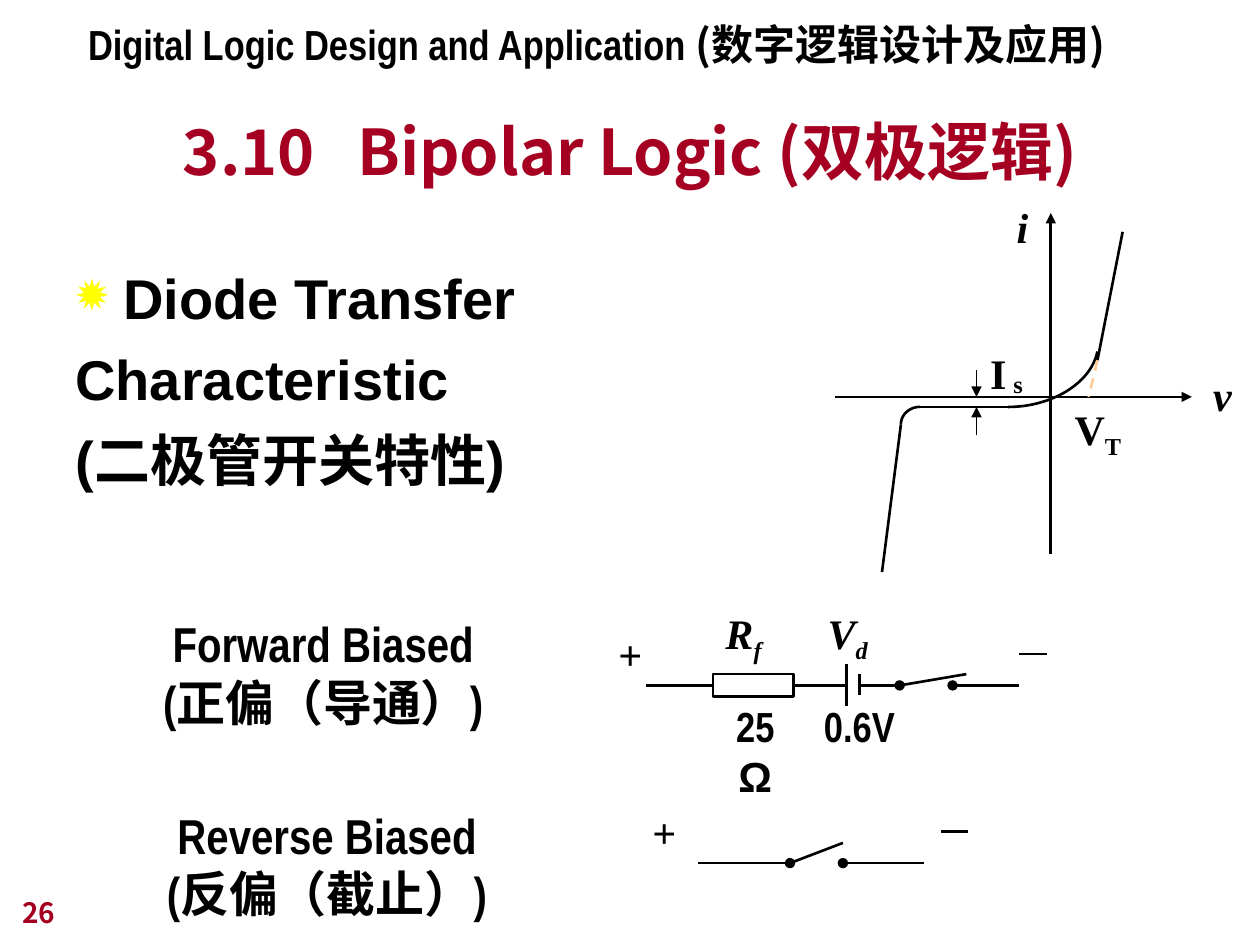
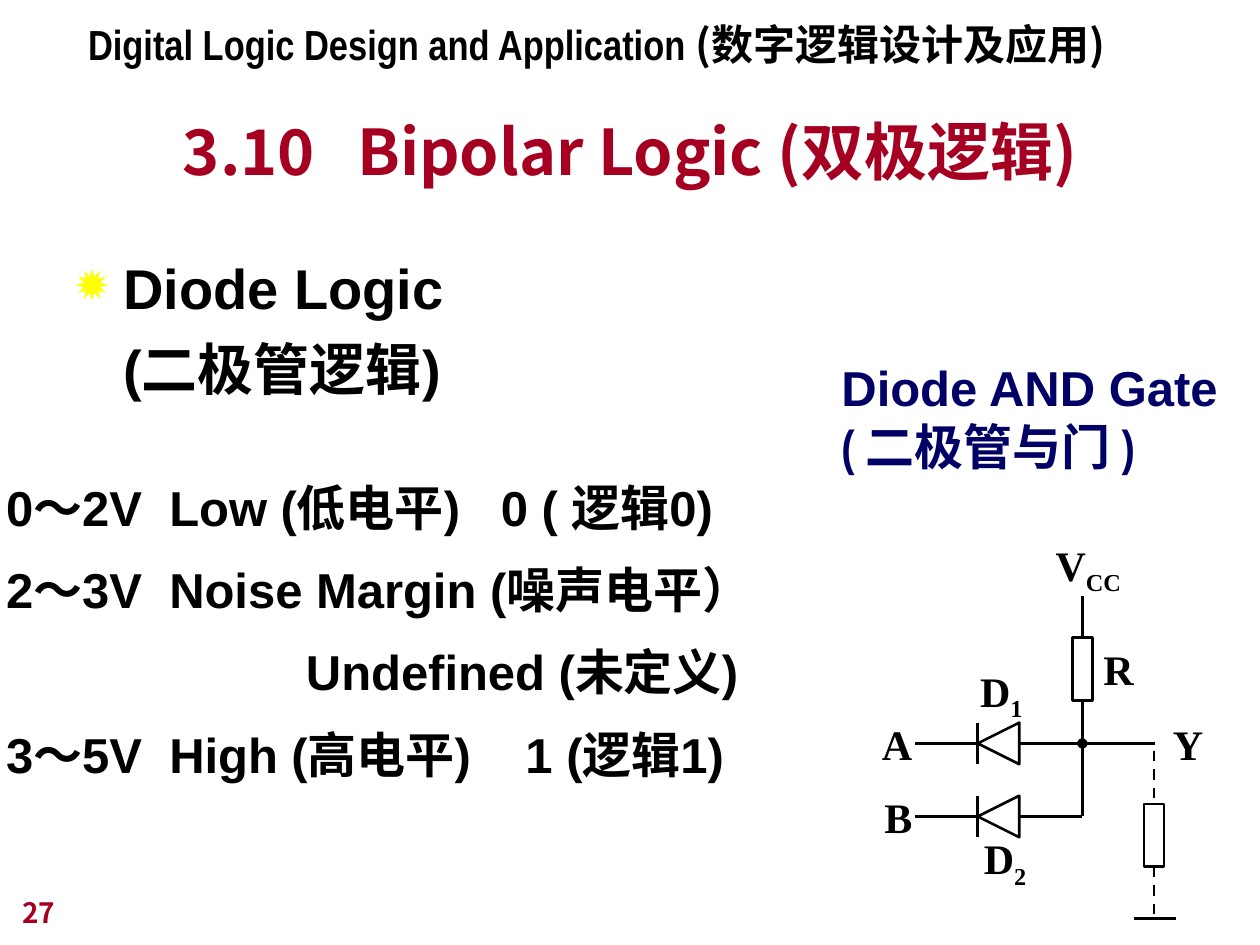
from lxml import etree
from pptx import Presentation
from pptx.dml.color import RGBColor
from pptx.enum.dml import MSO_LINE
from pptx.enum.shapes import MSO_CONNECTOR, MSO_SHAPE
from pptx.enum.text import MSO_ANCHOR, PP_ALIGN
from pptx.oxml.ns import qn
from pptx.util import Inches, Pt

LEFT, MID = PP_ALIGN.LEFT, PP_ALIGN.CENTER
TOP, LOW = MSO_ANCHOR.TOP, MSO_ANCHOR.BOTTOM
RECT, TRI = MSO_SHAPE.RECTANGLE, MSO_SHAPE.ISOSCELES_TRIANGLE
LINE, DASH = MSO_CONNECTOR.STRAIGHT, MSO_LINE.DASH

WIDE, HIGH = Inches(10), Inches(7.5)
COLS = 10
CELL = WIDE / COLS
HUES = {"ink": "000000", "red": "A50021", "navy": "000066",
        "sun": "FFFF00", "sand": "FFCC99"}
SANS, SLIM, SERIF, HAN = "Arial", "Arial Narrow", "Times New Roman", "Noto Sans CJK JP"

HEAD = [("Digital Logic Design and Application ", {}),
        ("(数字逻辑设计及应用)", {"face": HAN})]
TITLE = [("3.10", {}), (" ", {"air": 16}), ("Bipolar Logic (双极逻辑)", {})]
STAR = {"bullet": "✹", "left": 0.38, "first": -0.38}
LEAD = {"lead": 1.4}
SUB = {"base": -25}


def sign(main, sub=""):
    return [(main, {})] + ([(sub, SUB)] if sub else [])


def level(volts, name, air=0, logic=""):
    parts = [(volts, {}), (" ", {"air": 7.8}), (name, {})]
    if logic:
        parts += [(" ", {"air": air}), (logic, {})]
    return parts, LEAD


CURVE = {
    "body": [("Diode Transfer", STAR), ("Characteristic", {}), ("(二极管开关特性)", {})],
    "top": 2.04,
    "page": "26",
    "texts": [
        ((1.1, 4.82, 2.93, 1.04), ["Forward Biased", "(正偏（导通）)"], 28, SLIM, "ink", MID),
        ((1.13, 6.34, 2.93, 1.04), ["Reverse Biased", "(反偏（截止）)"], 28, SLIM, "ink", MID),
        ((5.58, 5.51, 0.83, 0.5), [[("25 ", {}), ("Ω", {"face": SANS})]], 24, SLIM, "ink", MID),
        ((6.44, 5.51, 0.76, 0.5), ["0.6V"], 24, SLIM, "ink", MID),
    ],
    "labels": [
        (9.53, 2.88, 0.35, sign("v"), True),
        (7.97, 1.55, 0.29, sign("i"), True),
        (8.43, 3.15, 0.57, sign("V", "T"), False),
        (7.76, 2.71, 0.46, [("I", {}), (" ", {"size": 16}), ("s", {"base": -10})], False),
        (4.81, 4.94, 0.39, sign("+"), False),
        (5.66, 4.77, 0.6, sign("R", "f"), True),
        (6.47, 4.77, 0.55, sign("V", "d"), True),
        (5.08, 6.35, 0.39, sign("+"), False),
    ],
    "rects": [(5.66, 5.35, 0.64, 0.18)],
    "diodes": [],
    "arcs": [
        [(8, 3.23), (8.35, 3.23), (8.66, 3.04), (8.71, 2.79)],
        [(7.3, 3.23), (7.22, 3.23), (7.15, 3.29), (7.15, 3.37)],
    ],
    "wires": [
        (6.63, 3.15, 9.46, 3.15, {"tail": "triangle"}),
        (8.34, 4.4, 8.34, 1.69, {"tail": "triangle"}),
        (7.3, 3.23, 8, 3.23, {}),
        (8.91, 1.84, 8.71, 2.86, {}),
        (7.15, 3.37, 7, 4.54, {}),
        (8.71, 2.86, 8.64, 3.15, {"hue": "sand", "dash": True}),
        (7.75, 2.94, 7.75, 3.15, {"tail": "triangle", "size": 0.75}),
        (7.75, 3.45, 7.75, 3.23, {"tail": "triangle", "size": 0.75}),
        (6.3, 5.44, 6.72, 5.44, {}),
        (6.72, 5.27, 6.72, 5.6, {}),
        (6.82, 5.35, 6.82, 5.52, {}),
        (6.82, 5.44, 7.14, 5.44, {}),
        (7.14, 5.44, 7.67, 5.35, {"head": "oval"}),
        (7.56, 5.44, 8.09, 5.44, {"head": "oval"}),
        (5.66, 5.44, 5.13, 5.44, {}),
        (8.09, 5.19, 8.31, 5.19, {}),
        (5.54, 6.85, 6.27, 6.85, {}),
        (6.27, 6.85, 6.69, 6.69, {"head": "oval"}),
        (6.69, 6.85, 7.33, 6.85, {"head": "oval"}),
        (7.47, 6.6, 7.68, 6.6, {}),
    ],
}

GATE = {
    "body": [("Diode Logic", STAR), ("(二极管逻辑)", {"left": 0.38})],
    "top": 1.96,
    "page": "27",
    "texts": [
        ((-0.05, 3.55, 6.7, 2.72), [
            level("0～2V", "Low (低电平)", 15.6, "0 ( 逻辑0)"),
            level("2～3V", "Noise Margin (噪声电平）"),
            ("Undefined (未定义)", {"left": 2.38, **LEAD}),
            level("3～5V", "High (高电平)", 23.4, "1 (逻辑1)"),
        ], 28, SANS, "ink", LEFT),
        ((6.58, 2.79, 3.35, 1.04),
         ["Diode AND Gate", [("( 二极管与门 )", {"face": SLIM})]], 28, SANS, "navy", LEFT),
    ],
    "labels": [
        (6.9, 5.65, 0.44, sign("A"), False),
        (6.92, 6.23, 0.42, sign("B"), False),
        (7.68, 5.23, 0.6, sign("D", "1"), False),
        (7.71, 6.56, 0.6, sign("D", "2"), False),
        (8.66, 5.06, 0.5, sign("R"), False),
        (8.28, 4.23, 0.8, sign("V", "CC"), False),
        (9.21, 5.65, 0.5, sign("Y"), False),
    ],
    "rects": [(8.51, 5.06, 0.16, 0.5), (9.08, 6.38, 0.16, 0.5)],
    "diodes": [(7.76, 5.9), (7.76, 6.48)],
    "arcs": [],
    "wires": [
        (8.59, 5.06, 8.59, 4.73, {}),
        (8.59, 5.56, 8.59, 6.48, {}),
        (8.59, 5.9, 9.17, 5.9, {"head": "oval"}),
        (9.16, 5.96, 9.16, 6.38, {"dash": True}),
        (9.16, 6.88, 9.16, 7.29, {"dash": True}),
        (9, 7.29, 9.33, 7.29, {}),
    ],
}


def at(*spots):
    return [int(spot * CELL) for spot in spots]


def tint(name):
    return RGBColor.from_string(HUES[name])


def add(node, tag, **attrs):
    kid = etree.SubElement(node, qn(tag))
    for key, val in attrs.items():
        kid.set(key, str(val))
    return kid


def layout(para, left=0, first=0, bullet="", lead=None, before=0):
    props = para._p.get_or_add_pPr()
    props.set("marL", str(at(left)[0]))
    props.set("indent", str(at(first)[0]))
    if bullet:
        add(add(props, "a:buClr"), "a:srgbClr", val=HUES["sun"])
        add(props, "a:buSzPct", val=100000)
        add(props, "a:buChar", char=bullet)
    if lead:
        para.line_spacing = lead
    if before:
        para.space_before = Pt(before)


def style(run, size, face, hue, italic=False, base=0, air=0):
    font = run.font
    font.size, font.bold, font.italic = Pt(size), True, italic
    font.color.rgb = tint(hue)
    font.name = face
    props = run._r.get_or_add_rPr()
    add(props, "a:ea", typeface=HAN)
    if base:
        props.set("baseline", str(base * 1000))
    if air:
        props.set("spc", str(round(air * 100)))


def write(slide, box, paras, size, face, hue="ink", align=LEFT, wrap=True,
          anchor=TOP, italic=False, gap=0):
    frame = slide.shapes.add_textbox(*at(*box)).text_frame
    frame.word_wrap, frame.vertical_anchor = wrap, anchor
    for i, item in enumerate(paras):
        para = frame.paragraphs[0] if i == 0 else frame.add_paragraph()
        body, opts = item if isinstance(item, tuple) else (item, {})
        layout(para, before=gap if i else 0, **opts)
        para.alignment = align
        parts = [(body, {})] if isinstance(body, str) else body
        for words, diff in parts:
            run = para.add_run()
            run.text = words
            style(run, **{"size": size, "face": face, "hue": hue, "italic": italic, **diff})


def pen(shape, hue="ink", size=1.5):
    shape.line.color.rgb = tint(hue)
    shape.line.width = Pt(size)


def block(slide, kind, box, turn=0):
    shape = slide.shapes.add_shape(kind, *at(*box))
    shape.shadow.inherit = False
    shape.fill.background()
    shape.rotation = turn
    pen(shape)
    return shape


def ports(box):
    x, y, w, h = box
    return [(x + w / 2, y), (x, y + h / 2), (x + w / 2, y + h), (x + w, y + h / 2)]


def wire(slide, x1, y1, x2, y2, opts, rects=()):
    link = slide.shapes.add_connector(LINE, *at(x1, y1, x2, y2))
    add(link._element.spPr, "a:effectLst")
    pen(link, opts.get("hue", "ink"), opts.get("size", 1.5))
    if opts.get("dash"):
        link.line.dash_style = DASH
    edge = link.line._get_or_add_ln()
    for key in ("head", "tail"):
        if key in opts:
            add(edge, f"a:{key}End", type=opts[key])
    for join, x, y in ((link.begin_connect, x1, y1), (link.end_connect, x2, y2)):
        for box, shape in rects:
            for side, (px, py) in enumerate(ports(box)):
                if max(abs(px - x), abs(py - y)) < 0.01:
                    join(shape, side)


def diode(slide, x, y, size=0.33, reach=0.5):
    block(slide, TRI, (x, y - size / 2, size, size), 270)
    wire(slide, x, y - size / 2, x, y + size / 2, {})
    wire(slide, x, y, x - reach, y, {})
    wire(slide, x + size, y, x + size + reach, y, {})


def arc(slide, ends, steps=24):
    dots = []
    for i in range(steps + 1):
        t = i / steps
        parts = ((1 - t) ** 3, 3 * t * (1 - t) ** 2, 3 * t * t * (1 - t), t ** 3)
        dots.append(at(*(sum(k * p[n] for k, p in zip(parts, ends)) for n in (0, 1))))
    path = slide.shapes.build_freeform(*dots[0])
    path.add_line_segments(dots[1:], close=False)
    shape = path.convert_to_shape()
    shape.shadow.inherit = False
    shape.fill.background()
    pen(shape)


def build(deck, data):
    slide = deck.slides.add_slide(deck.slide_layouts[6])
    write(slide, (0.6, 0.1, 8.41, 0.5), [HEAD], 24, SLIM)
    write(slide, (0.75, 0.71, 8.5, 0.83), [TITLE], 36, HAN, "red", MID, anchor=LOW)
    write(slide, (0.5, data["top"], 9, 5.33), data["body"], 32, SANS, gap=8)
    write(slide, (0.08, 6.92, 2.08, 0.5), [data["page"]], 16, HAN, "red", anchor=LOW)
    rects = [(box, block(slide, RECT, box)) for box in data["rects"]]
    for spot in data["diodes"]:
        diode(slide, *spot)
    for ends in data["arcs"]:
        arc(slide, ends)
    for item in data["wires"]:
        wire(slide, *item, rects)
    for x, y, w, runs, italic in data["labels"]:
        write(slide, (x, y, w, 0.5), [runs], 24, SERIF, wrap=False, italic=italic)
    for item in data["texts"]:
        write(slide, *item)


def main():
    deck = Presentation()
    deck.slide_width, deck.slide_height = WIDE, HIGH
    for data in (CURVE, GATE):
        build(deck, data)
    deck.save("out.pptx")


if __name__ == "__main__":
    main()
